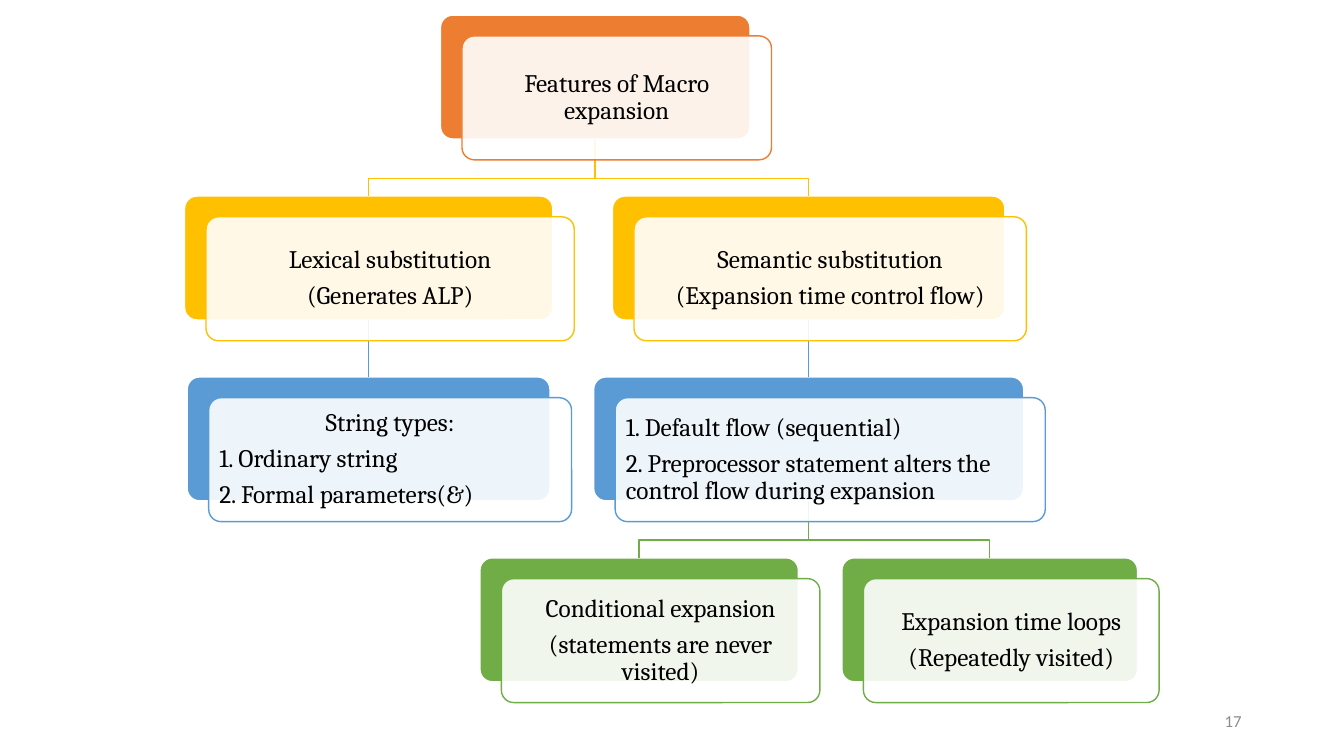
from collections import namedtuple

from lxml.etree import SubElement
from pptx import Presentation
from pptx.dml.color import RGBColor
from pptx.enum.shapes import MSO_CONNECTOR, MSO_SHAPE
from pptx.enum.text import MSO_ANCHOR, PP_ALIGN
from pptx.oxml.ns import qn
from pptx.util import Inches, Pt

ORANGE, GOLD, BLUE, GREEN = "ED7D31", "FFC000", "5B9BD5", "70AD47"
WHITE, BLACK, GREY = "FFFFFF", "000000", "8C8C8C"
LEFT, CENTER, RIGHT = PP_ALIGN.LEFT, PP_ALIGN.CENTER, PP_ALIGN.RIGHT

Node = namedtuple("Node", "row center width color lines alignments")

NODES = {
    "macro": Node(0, 44.29, 23.03, ORANGE, ["Features of Macro expansion"], [CENTER]),
    "lexical": Node(1, 27.43, 27.4, GOLD,
                    ["Lexical substitution", "(Generates ALP)"], [CENTER] * 2),
    "strings": Node(2, 27.43, 27, BLUE,
                    ["String types:", "1. Ordinary string", "2. Formal parameters(&)"],
                    [CENTER, LEFT, LEFT]),
    "semantic": Node(1, 60.17, 29.2, GOLD,
                     ["Semantic substitution", "(Expansion time control flow)"], [CENTER] * 2),
    "flow": Node(2, 60.17, 32, BLUE,
                 ["1. Default flow (sequential)",
                  "2. Preprocessor statement alters the control flow during expansion"],
                 [LEFT] * 2),
    "conditional": Node(3, 47.56, 23.7, GREEN,
                        ["Conditional expansion", "(statements are never visited)"],
                        [CENTER] * 2),
    "loops": Node(3, 73.64, 22, GREEN,
                  ["Expansion time loops", "(Repeatedly visited)"], [CENTER] * 2),
}
LINKS = [("macro", "lexical"), ("macro", "semantic"), ("lexical", "strings"),
         ("semantic", "flow"), ("flow", "conditional"), ("flow", "loops")]


def rgb(value):
    return RGBColor.from_string(value)


def write_text(shape, lines, alignments, font="Cambria", size=18, color=BLACK,
               line_spacing=0.9, space_after=6.3, inset=0.07):
    frame = shape.text_frame
    frame.word_wrap = True
    frame.vertical_anchor = MSO_ANCHOR.MIDDLE
    frame.margin_left = frame.margin_right = Inches(inset)
    frame.margin_top = frame.margin_bottom = Inches(inset)
    frame.text = "\n".join(lines)
    for paragraph, alignment in zip(frame.paragraphs, alignments):
        paragraph.alignment = alignment
        paragraph.line_spacing = line_spacing
        paragraph.space_after = Pt(space_after)
        paragraph.font.name = font
        paragraph.font.size = Pt(size)
        paragraph.font.color.rgb = rgb(color)


class TreeSlide:
    top, row_pitch, box_height = 2, 23.93, 16.4
    shift_x, shift_y = 1.6, 2.75
    bend = 5.2

    def __init__(self, presentation):
        self.width = presentation.slide_width
        self.height = presentation.slide_height
        self.slide = presentation.slides.add_slide(presentation.slide_layouts[6])

    def across(self, share):
        return round(self.width * share / 100)

    def down(self, share):
        return round(self.height * share / 100)

    def row_top(self, node):
        return self.top + node.row * self.row_pitch

    def box(self, node, fill, line, shift_x=0, shift_y=0):
        shape = self.slide.shapes.add_shape(
            MSO_SHAPE.ROUNDED_RECTANGLE,
            self.across(node.center - node.width / 2 + shift_x),
            self.down(self.row_top(node) + shift_y),
            self.across(node.width), self.down(self.box_height))
        shape.adjustments[0] = 0.1
        shape.shadow.inherit = False
        shape.fill.solid()
        shape.fill.fore_color.rgb = rgb(fill)
        shape.line.color.rgb = rgb(line)
        shape.line.width = Pt(1)
        return shape

    def back(self, node):
        return self.box(node, node.color, WHITE)

    def card(self, node):
        shape = self.box(node, WHITE, node.color, self.shift_x, self.shift_y)
        color = shape._element.spPr.find(qn("a:solidFill")).find(qn("a:srgbClr"))
        SubElement(color, qn("a:alpha")).set("val", "90000")
        write_text(shape, node.lines, node.alignments)

    def straight_link(self, parent_shape, child_shape):
        link = self.slide.shapes.add_connector(MSO_CONNECTOR.STRAIGHT, 0, 0, 0, 0)
        link.begin_connect(parent_shape, 2)
        link.end_connect(child_shape, 0)
        SubElement(link._element.spPr, qn("a:effectLst"))
        return link

    def bent_link(self, parent, child):
        start = self.row_top(parent) + self.box_height
        start_x, end_x = self.across(parent.center), self.across(child.center)
        bend_y = self.down(start + self.bend)
        builder = self.slide.shapes.build_freeform(start_x, self.down(start))
        builder.add_line_segments(
            [(start_x, bend_y), (end_x, bend_y), (end_x, self.down(self.row_top(child)))],
            close=False)
        link = builder.convert_to_shape()
        link.fill.background()
        link.shadow.inherit = False
        return link

    def link(self, parent, child, parent_shape, child_shape):
        if parent.center == child.center:
            link = self.straight_link(parent_shape, child_shape)
        else:
            link = self.bent_link(parent, child)
        link.line.color.rgb = rgb(child.color)
        link.line.width = Pt(1)

    def page_number(self, number):
        shape = self.slide.shapes.add_textbox(
            self.across(70.63), self.down(92.67), self.across(22.5), self.down(5.33))
        write_text(shape, [number], [RIGHT], font="Calibri", size=12, color=GREY,
                   line_spacing=1, space_after=0, inset=0.1)


def main():
    presentation = Presentation()
    presentation.slide_width = Inches(13.33)
    presentation.slide_height = Inches(7.5)
    tree = TreeSlide(presentation)
    tree.page_number("17")
    backs = {name: tree.back(node) for name, node in NODES.items()}
    for parent, child in LINKS:
        tree.link(NODES[parent], NODES[child], backs[parent], backs[child])
    for node in NODES.values():
        tree.card(node)
    presentation.save("out.pptx")


if __name__ == "__main__":
    main()
